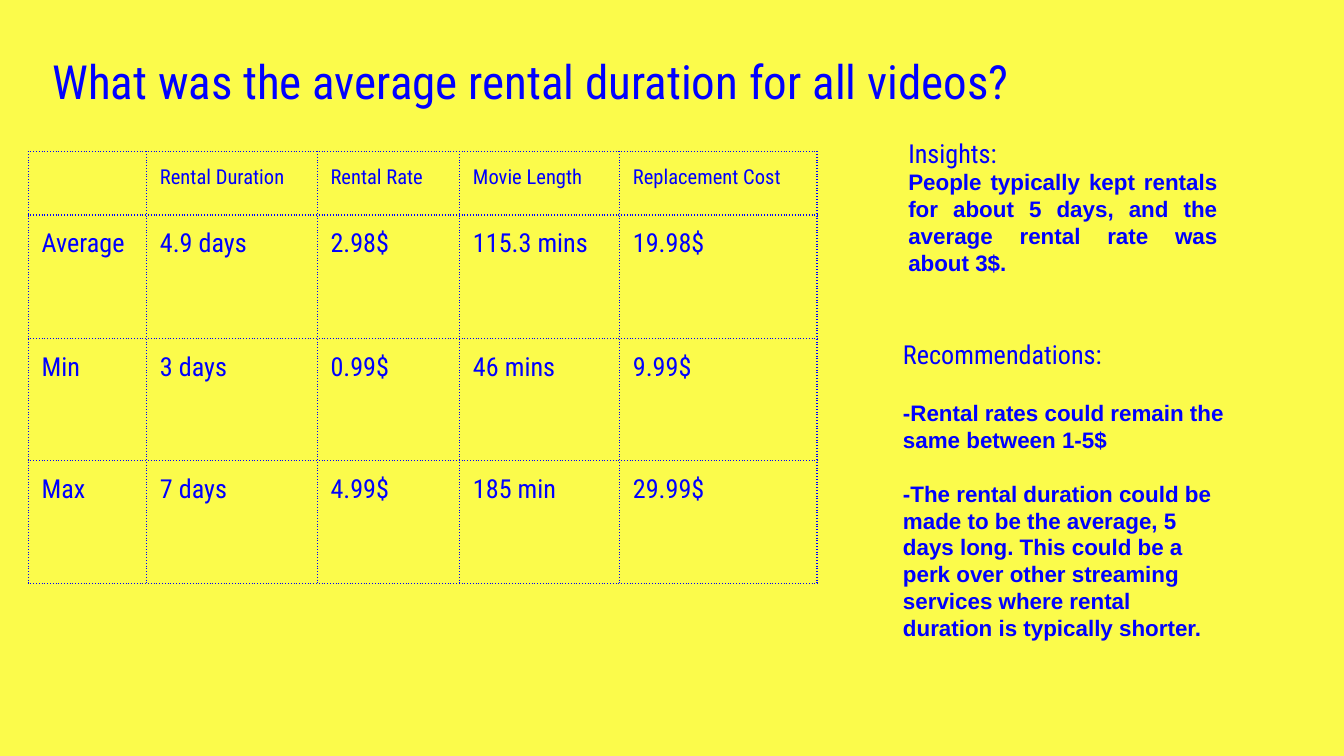
"""Build a slide on rental durations: a statistics table with insights and recommendations."""
from lxml.etree import SubElement
from pptx import Presentation
from pptx.dml.color import RGBColor
from pptx.enum.text import MSO_ANCHOR, MSO_AUTO_SIZE, PP_ALIGN as Align
from pptx.oxml.ns import qn
from pptx.util import Inches, Pt

COLORS = {"background": "FBFB4B", "ink": "0101FE", "table": "0000FF"}
HEAD, BODY = "Roboto Condensed", "Arial"
MARGIN = 0.1

TITLE = "What was the average rental duration for all videos?"
ROWS = [
    ["", "Rental Duration", "Rental Rate", "Movie Length", "Replacement Cost"],
    ["Average", "4.9 days", "2.98$", "115.3 mins", "19.98$"],
    ["Min", "3 days", "0.99$", "46 mins", "9.99$"],
    ["Max", "7 days", "4.99$", "185 min", "29.99$"],
]
COL_WIDTHS = [0.88, 1.27, 1.06, 1.19, 1.47]
ROW_HEIGHTS = [0.47, 0.92, 0.91, 0.91]
NOTES = [
    {"box": (6.66, 0.92, 2.5, 1.25), "heading": "Insights:", "align": Align.JUSTIFY, "gaps": [0],
     "body": ["People typically kept rentals for about 5 days, "
              "and the average rental rate was about 3$."]},
    {"box": (6.62, 2.42, 2.59, 2.88), "heading": "Recommendations:", "align": Align.LEFT,
     "gaps": [15.5, 14.5],
     "body": ["-Rental rates could remain the same between 1-5$",
              "-The rental duration could be made to be the average, 5 days long. "
              "This could be a perk over other streaming services where rental "
              "duration is typically shorter."]},
]


def add_run(p, text, size, font=HEAD, color="ink", bold=False):
    r = p.add_run()
    r.text = text
    r.font.size, r.font.name, r.font.bold = Pt(size), font, bold
    r.font.color.rgb = RGBColor.from_string(COLORS[color])


def set_margins(target):
    for side in ("left", "top", "right", "bottom"):
        setattr(target, f"margin_{side}", Inches(MARGIN))


def add_borders(cell):
    tc_pr = cell._tc.get_or_add_tcPr()
    for i, edge in enumerate(("a:lnL", "a:lnR", "a:lnT", "a:lnB")):
        ln = tc_pr.makeelement(qn(edge), {"w": str(Pt(0.75))})
        tc_pr.insert(i, ln)
        fill = SubElement(ln, qn("a:solidFill"))
        SubElement(fill, qn("a:srgbClr"), val=COLORS["table"])
        SubElement(ln, qn("a:prstDash"), val="dot")


def add_title(s):
    sp = s.shapes.title
    sp.left, sp.top, sp.width, sp.height = map(Inches, (0.29, 0.29, 9.32, 0.63))
    tf = sp.text_frame
    set_margins(tf)
    tf.vertical_anchor = MSO_ANCHOR.TOP
    p = tf.paragraphs[0]
    p.alignment = Align.LEFT
    add_run(p, TITLE, 25.2)


def add_stats(s):
    box = map(Inches, (0.21, 1.13, sum(COL_WIDTHS), sum(ROW_HEIGHTS)))
    table = s.shapes.add_table(len(ROWS), len(COL_WIDTHS), *box).table
    table.first_row = table.horz_banding = False
    for col, width in zip(table.columns, COL_WIDTHS):
        col.width = Inches(width)
    for i, (texts, height) in enumerate(zip(ROWS, ROW_HEIGHTS)):
        table.rows[i].height = Inches(height)
        size = 14 if i else 11
        for j, text in enumerate(texts):
            cell = table.cell(i, j)
            set_margins(cell)
            cell.fill.background()
            add_borders(cell)
            p = cell.text_frame.paragraphs[0]
            if text:
                add_run(p, text, size, color="table")
            else:
                SubElement(p._p, qn("a:endParaRPr"), sz=str(size * 100))


def add_note(s, note):
    tf = s.shapes.add_textbox(*map(Inches, note["box"])).text_frame
    tf.word_wrap = True
    tf.auto_size = MSO_AUTO_SIZE.SHAPE_TO_FIT_TEXT
    set_margins(tf)
    add_run(tf.paragraphs[0], note["heading"], 14)
    for text, gap in zip(note["body"], note["gaps"]):
        p = tf.add_paragraph()
        p.alignment, p.space_before = note["align"], Pt(gap)
        add_run(p, text, 12, BODY, bold=True)


def main():
    prs = Presentation()
    prs.slide_width = Inches(10)
    prs.slide_height = prs.slide_width * 9 // 16
    s = prs.slides.add_slide(prs.slide_layouts[5])
    s.background.fill.solid()
    s.background.fill.fore_color.rgb = RGBColor.from_string(COLORS["background"])
    add_title(s)
    add_stats(s)
    for note in NOTES:
        add_note(s, note)
    prs.save("out.pptx")


if __name__ == "__main__":
    main()
